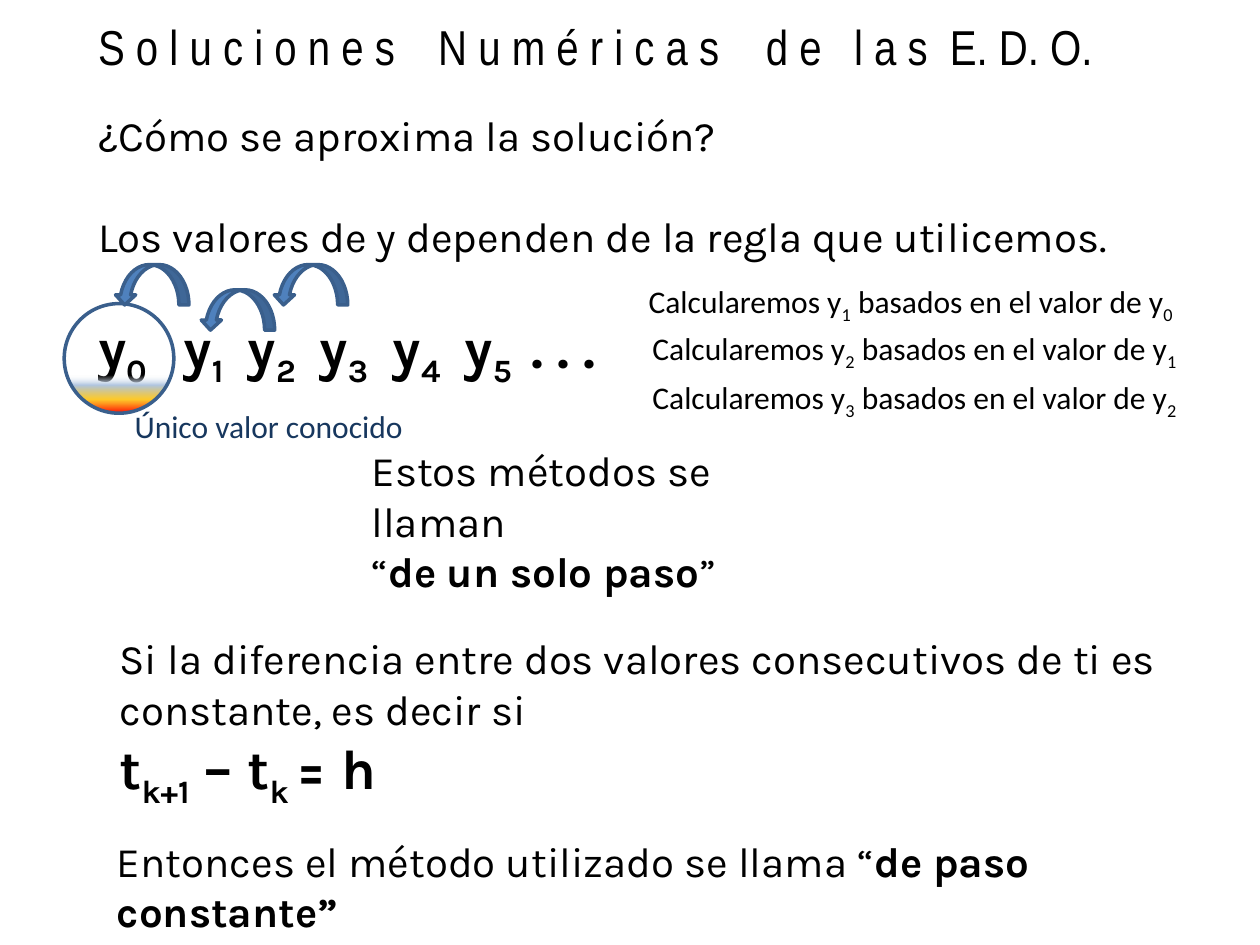
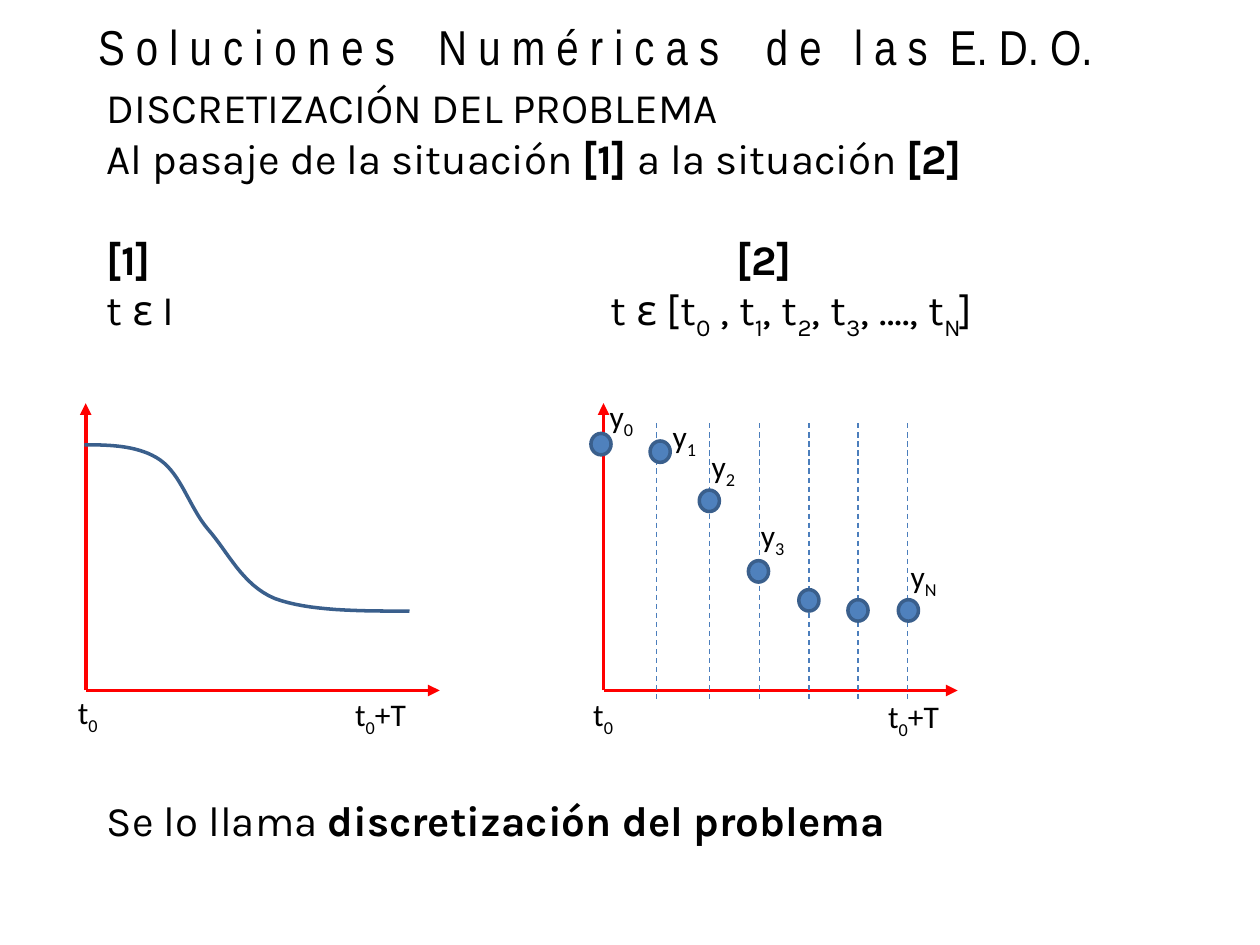
"""Builds two slides on one-step methods and discretization of differential equations."""
from lxml.etree import SubElement
from pptx import Presentation
from pptx.dml.color import RGBColor
from pptx.enum.dml import MSO_LINE
from pptx.enum.shapes import MSO_CONNECTOR, MSO_SHAPE
from pptx.enum.text import MSO_AUTO_SIZE
from pptx.oxml.ns import qn
from pptx.util import Emu, Inches, Pt

BLACK, NAVY, RED = "000000", "17375E", "FF0000"
BLUE, EDGE, DASH = "4F81BD", "3A5F8C", "4B7EBC"
HEAD, BODY, LABEL = "Arial Narrow", "Karla", "Calibri"
GAP = 29.1

prs = Presentation()
prs.slide_width, prs.slide_height = Inches(10), Inches(7.5)
U = prs.slide_width // 100  # square grid: 100 columns by 75 rows
rgb = RGBColor.from_string


def text(slide, box, paragraphs, size=24, font=BODY, color=BLACK, sizes={}, gaps={}, tabs={}):
    """Add a text box; * toggles bold, ~ toggles subscript, and dicts are keyed by paragraph."""
    tf = slide.shapes.add_textbox(*[Emu(int(v * U)) for v in box]).text_frame
    tf.word_wrap = True
    tf.auto_size = MSO_AUTO_SIZE.SHAPE_TO_FIT_TEXT
    for n, content in enumerate(paragraphs):
        p = tf.add_paragraph() if n else tf.paragraphs[0]
        if n in gaps:
            p.space_before = Pt(gaps[n])
        if n in tabs:
            stops = SubElement(p._p.get_or_add_pPr(), qn("a:tabLst"))
            for stop in tabs[n]:
                SubElement(stops, qn("a:tab"), pos=str(int(stop * U)), algn="l")
        for i, part in enumerate(content.split("*")):
            for j, piece in enumerate(part.split("~")):
                if piece:
                    r = p.add_run()
                    r.text = piece
                    r.font.size, r.font.name = Pt(sizes.get(n, size)), font
                    r.font.bold = i % 2 == 1
                    r.font.color.rgb = rgb(color)
                    if j % 2:
                        r._r.get_or_add_rPr().set("baseline", "-25000")


def paint(sp, line, width, fill=None):
    """Give a shape or connector its line and fill, without a shadow."""
    sp.line.color.rgb, sp.line.width = rgb(line), Pt(width)
    if fill:
        sp.fill.solid()
        sp.fill.fore_color.rgb = rgb(fill)
    SubElement(sp._element.spPr, qn("a:effectLst"))


slides = [prs.slides.add_slide(prs.slide_layouts[6]) for _ in range(2)]
for slide in slides:
    text(slide, (6.8, 0.8, 83.6, 5.7),
         ["S o l u c i o n e s\tN u m é r i c a s\td e\tl a s\tE. D. O."],
         size=28, font=HEAD, tabs={0: (27, 53, 60, 67.6)})
steps, discrete = slides

text(steps, (6.8, 8.2, 92.4, 26.6),
     ["¿Cómo se aproxima la solución?",
      "Los valores de y dependen de la regla que utilicemos.",
      "*y~0~\ty~1~\ty~2~\ty~3~\ty~4~\ty~5~\t. . .*"],
     sizes={2: 32}, gaps={1: GAP, 2: GAP}, tabs={2: (6.8, 11.9, 17.6, 23.4, 29.1, 34.4)})
text(steps, (8.5, 49.74, 92.4, 18.6),
     ["Si la diferencia entre dos valores consecutivos de ti es constante, es decir si",
      "*t~k+1~ – t~k ~= h*"], sizes={1: 32})

known = steps.shapes.add_shape(MSO_SHAPE.OVAL, *[Emu(int(v * U)) for v in (5.1, 24.1, 8.7, 8.7)])
known.fill.gradient()
known.fill.gradient_angle = 270
stops = known._element.spPr.find(qn("a:gradFill")).find(qn("a:gsLst"))
stops.clear()
for pos, color, alpha in [(65, "F6F9FC", 0), (74, "B0C6E1", 100), (87, "FFC000", 83), (100, RED, 100)]:
    gs = SubElement(stops, qn("a:gs"), pos=str(pos * 1000))
    clr = SubElement(gs, qn("a:srgbClr"), val=color)
    SubElement(clr, qn("a:alpha"), val=str(alpha * 1000))
paint(known, EDGE, 2)
text(steps, (9.7, 31.8, 27.6, 4), ["Único valor conocido"], size=18, font=LABEL, color=NAVY)

for n, (x, y, arrow_x, arrow_y) in enumerate(
        [(50.5, 21.9, 9.1, 21), (50.8, 25.6, 15.9, 23), (50.8, 29.5, 21.7, 21)]):
    text(steps, (x, y, 45.7, 4), [f"Calcularemos y~{n + 1}~ basados en el valor de y~{n}~"],
         size=18, font=LABEL)
    sp = steps.shapes.add_shape(MSO_SHAPE.CURVED_DOWN_ARROW,
                                *[Emu(int(v * U)) for v in (arrow_x, arrow_y, 5.9, 3.2)])
    sp._element.spPr.find(qn("a:xfrm")).set("flipH", "1")
    paint(sp, EDGE, 2, BLUE)

text(steps, (28.5, 34.8, 38, 9.1), ["Estos métodos se llaman", "“*de un solo paso*”"])
text(steps, (8.3, 65.8, 88.5, 9.1), ["Entonces el método utilizado se llama “*de paso constante”*"])

text(discrete, (7.5, 6, 92.4, 21.2),
     ["DISCRETIZACIÓN DEL PROBLEMA",
      "Al pasaje de la situación *[1] *a la situación *[2]*",
      "*[1]\t[2]*",
      "t ε I\tt ε [t~0~ , t~1~, t~2~, t~3~, …., t~N~]"],
     gaps={2: GAP}, tabs={2: (50,), 3: (40,)})
text(discrete, (7.5, 62.6, 92.4, 5), ["Se lo llama *discretización del problema*"])

for x in (6.8, 47.9):
    for end_x, end_y in ((x, 32), (x + 28.1, 54.8)):
        axis = discrete.shapes.add_connector(
            MSO_CONNECTOR.STRAIGHT, *[Emu(int(v * U)) for v in (x, 54.8, end_x, end_y)])
        paint(axis, RED, 2.25)
        SubElement(axis.line._get_or_add_ln(), qn("a:tailEnd"), type="triangle")

knots = [(6.7, 35.3), (8.9, 35.3), (11.1, 35.4), (12.7, 36.5), (14.4, 37.7), (15, 40.2), (16.5, 42),
         (18.1, 43.8), (19.2, 46.4), (21.8, 47.5), (24.5, 48.5), (28.5, 48.5), (32.5, 48.5)]
curve = []
for k in range(0, len(knots) - 1, 3):
    for t in [i / 16 for i in range(1, 17)]:
        weights = ((1 - t) ** 3, 3 * t * (1 - t) ** 2, 3 * t * t * (1 - t), t ** 3)
        curve.append([sum(w * q[d] for w, q in zip(weights, knots[k:k + 4])) * U for d in (0, 1)])
ff = discrete.shapes.build_freeform(int(knots[0][0] * U), int(knots[0][1] * U))
ff.add_line_segments(curve, close=False)
solution = ff.convert_to_shape()
solution.fill.background()
paint(solution, EDGE, 2)

for x in (52.1, 56.3, 60.3, 64.2, 68.1, 72):
    guide = discrete.shapes.add_connector(
        MSO_CONNECTOR.STRAIGHT, *[Emu(int(v * U)) for v in (x, 33.6, x, 55.6)])
    paint(guide, DASH, 0.75)
    guide.line.dash_style = MSO_LINE.DASH

for x, y in [(46.9, 34.4), (51.6, 35), (55.5, 38.9), (59.4, 44.5),
             (63.4, 46.8), (67.3, 47.6), (71.3, 47.6)]:
    dot = discrete.shapes.add_shape(MSO_SHAPE.OVAL, *[Emu(int(v * U)) for v in (x, y, 1.6, 1.7)])
    paint(dot, EDGE, 2, BLUE)

for x, y, w, label in [
        (5.2, 54.5, 4.4, "t~0~"), (46.1, 54.7, 4.4, "t~0~"),
        (27.2, 54.7, 6.5, "t~0~+T"), (69.5, 54.8, 6.5, "t~0~+T"),
        (47.4, 31, 6.3, "y~0~"), (52.4, 32.6, 6.3, "y~1~"), (55.5, 35, 6.3, "y~2~"),
        (59.4, 40.5, 6.3, "y~3~"), (71.3, 43.7, 6.3, "y~N~")]:
    text(discrete, (x, y, w, 4), [label], size=18, font=LABEL)

prs.save("out.pptx")
